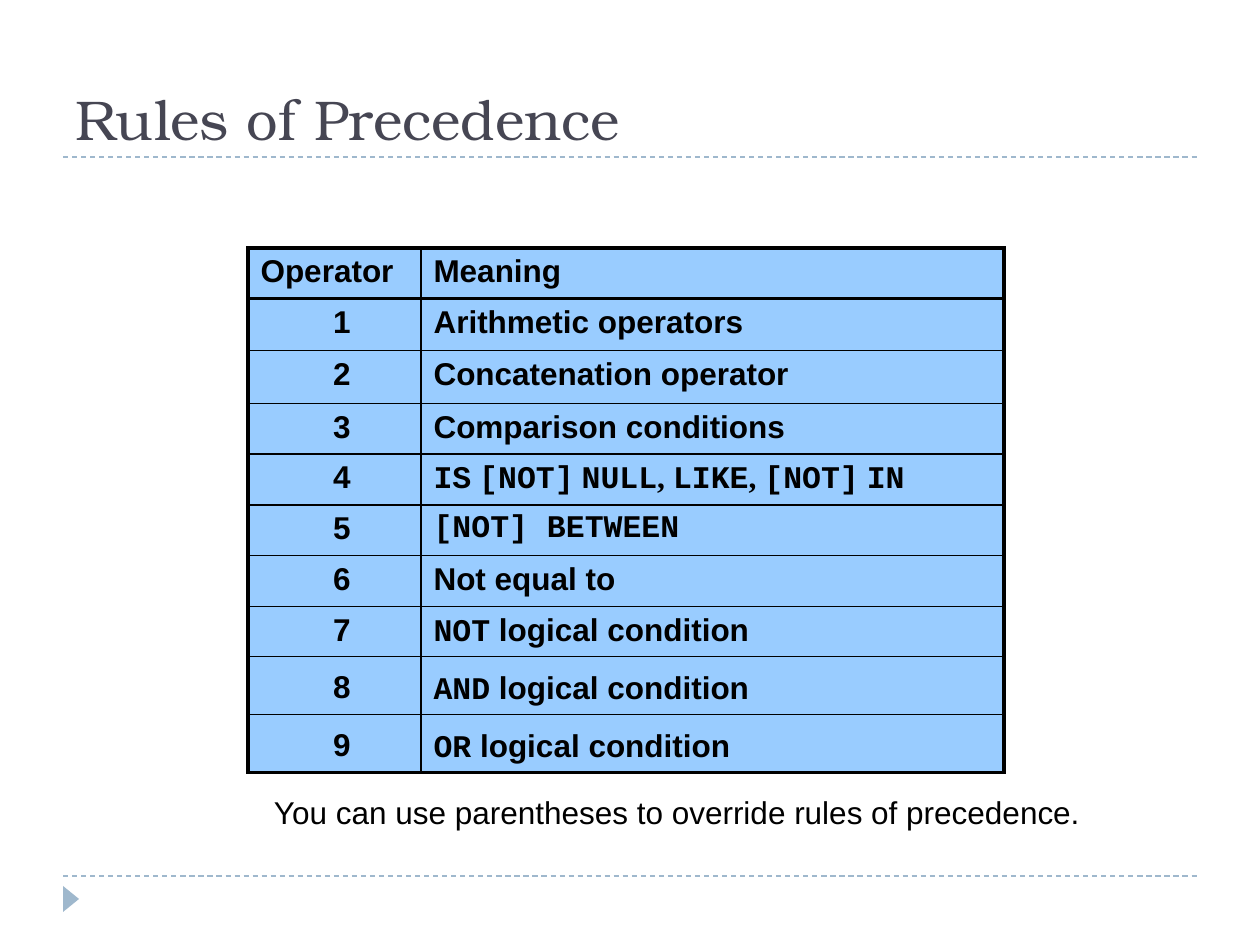
from lxml.etree import SubElement
from pptx import Presentation
from pptx.dml.color import RGBColor
from pptx.enum.dml import MSO_LINE
from pptx.enum.shapes import MSO_CONNECTOR, MSO_SHAPE
from pptx.enum.text import MSO_ANCHOR, PP_ALIGN
from pptx.oxml.ns import qn
from pptx.util import Emu, Pt

TITLE = "Rules of Precedence"
NOTE = "You can use parentheses to override rules of precedence."
SANS, MONO, ROMAN, SERIF = "Arial", "Courier New", "Times New Roman", "TeX Gyre Bonum"
HEAD = ("Operator", "Meaning")
RULES = [
    [("Arithmetic operators", SANS)],
    [("Concatenation operator", SANS)],
    [("Comparison conditions", SANS)],
    [("IS", MONO), (" ", ROMAN), ("[NOT]", MONO), (" ", ROMAN), ("NULL", MONO),
     (", ", ROMAN), ("LIKE", MONO), (", ", ROMAN), ("[NOT]", MONO), (" ", ROMAN),
     ("IN", MONO)],
    [("[NOT] BETWEEN", MONO)],
    [("Not equal to", SANS)],
    [("NOT", MONO), (" logical condition", SANS)],
    [("AND", MONO), (" logical condition", SANS)],
    [("OR", MONO), (" logical condition", SANS)],
]
WIDTHS = (173, 583)
HEIGHTS = (50, 52, 53, 50, 51, 50, 51, 50, 58, 58)
LOOSE = 8
COLORS = {"title": "464653", "rule": "9FB8CD", "cell": "99CCFF", "ink": "000000"}
THICK, THIN = 2.25, 1


def px(n):
    return Emu(round(n * 914400 / 126))


def color(name):
    return RGBColor.from_string(COLORS[name])


def add_run(para, text, face, size=18, ink="ink", bold=False):
    run = para.add_run()
    run.text = text
    font = run.font
    font.name, font.size, font.bold = face, Pt(size), bold
    font.color.rgb = color(ink)


def add_rule(slide, y):
    line = slide.shapes.add_connector(MSO_CONNECTOR.STRAIGHT, px(63), px(y), px(1197), px(y))
    line.line.color.rgb = color("rule")
    line.line.width = Pt(0.75)
    line.line.dash_style = MSO_LINE.DASH
    SubElement(line._element.spPr, qn("a:effectLst"))


def set_edges(cell, sizes):
    props = cell._tc.get_or_add_tcPr()
    for side, size in zip("LRTB", sizes):
        edge = SubElement(props, qn("a:ln" + side), w=str(Pt(size)))
        SubElement(SubElement(edge, qn("a:solidFill")), qn("a:srgbClr"), val=COLORS["ink"])


def add_grid(slide):
    rows = [[[(text, SANS)] for text in HEAD]]
    rows += [[[(str(i), SANS)], rule] for i, rule in enumerate(RULES, 1)]
    last = len(rows) - 1
    grid = slide.shapes.add_table(len(rows), len(WIDTHS), px(248), px(248),
                                  px(sum(WIDTHS)), px(sum(HEIGHTS))).table
    grid.first_row = grid.horz_banding = False
    for col, wide in zip(grid.columns, WIDTHS):
        col.width = px(wide)
    for r, row in enumerate(rows):
        grid.rows[r].height = px(HEIGHTS[r])
        for c, runs in enumerate(row):
            cell = grid.cell(r, c)
            set_edges(cell, (THIN if c else THICK, THICK if c else THIN,
                             THICK if r < 2 else THIN, THICK if r in (0, last) else THIN))
            cell.fill.solid()
            cell.fill.fore_color.rgb = color("cell")
            para = cell.text_frame.paragraphs[0]
            if r and not c:
                cell.margin_left, cell.margin_right = px(15), 0
                para.alignment = PP_ALIGN.CENTER
            if r >= LOOSE:
                para.line_spacing = 1.2
            for text, face in runs:
                add_run(para, text, face, bold=True)


def main():
    deck = Presentation()
    deck.slide_width, deck.slide_height = px(1260), px(945)
    slide = deck.slides.add_slide(deck.slide_layouts[5])
    for y in (876, 157):
        add_rule(slide, y)

    mark = slide.shapes.add_shape(MSO_SHAPE.ISOSCELES_TRIANGLE, px(58), px(891), px(26), px(16))
    mark.rotation = 90
    mark.shadow.inherit = False
    mark.fill.solid()
    mark.fill.fore_color.rgb = color("rule")
    mark.line.fill.background()

    title = slide.shapes.title
    title.left, title.top, title.width, title.height = px(63), px(32), px(1134), px(126)
    title.text_frame.vertical_anchor = MSO_ANCHOR.BOTTOM
    para = title.text_frame.paragraphs[0]
    para.alignment = PP_ALIGN.LEFT
    add_run(para, TITLE, SERIF, 32, "title")

    note = slide.shapes.add_textbox(px(168), px(790), px(1018), px(49)).text_frame
    note.word_wrap = True
    para = note.paragraphs[0]
    para.alignment = PP_ALIGN.CENTER
    para.line_spacing = 0.95
    add_run(para, NOTE, SANS)

    add_grid(slide)
    deck.save("out.pptx")


if __name__ == "__main__":
    main()
